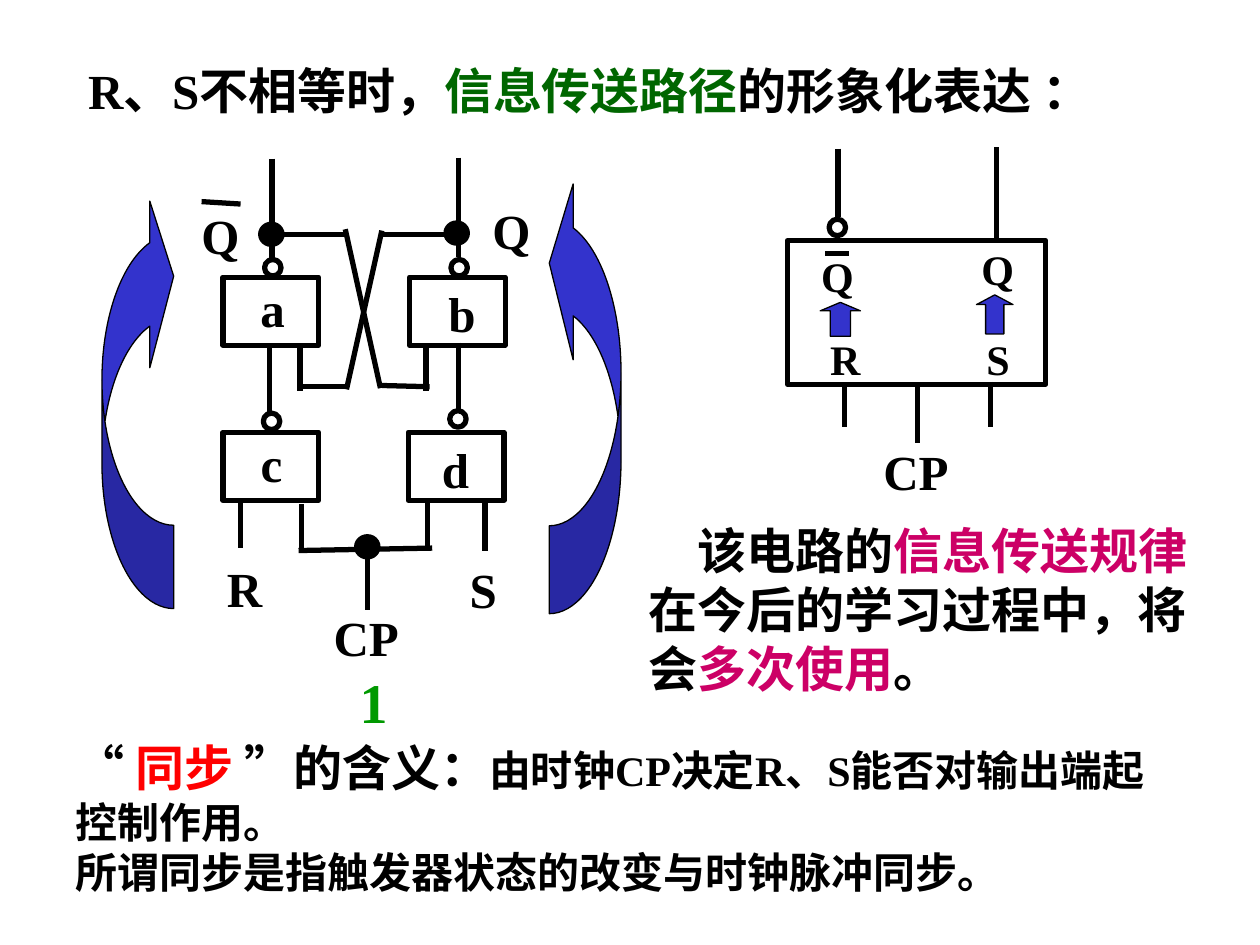
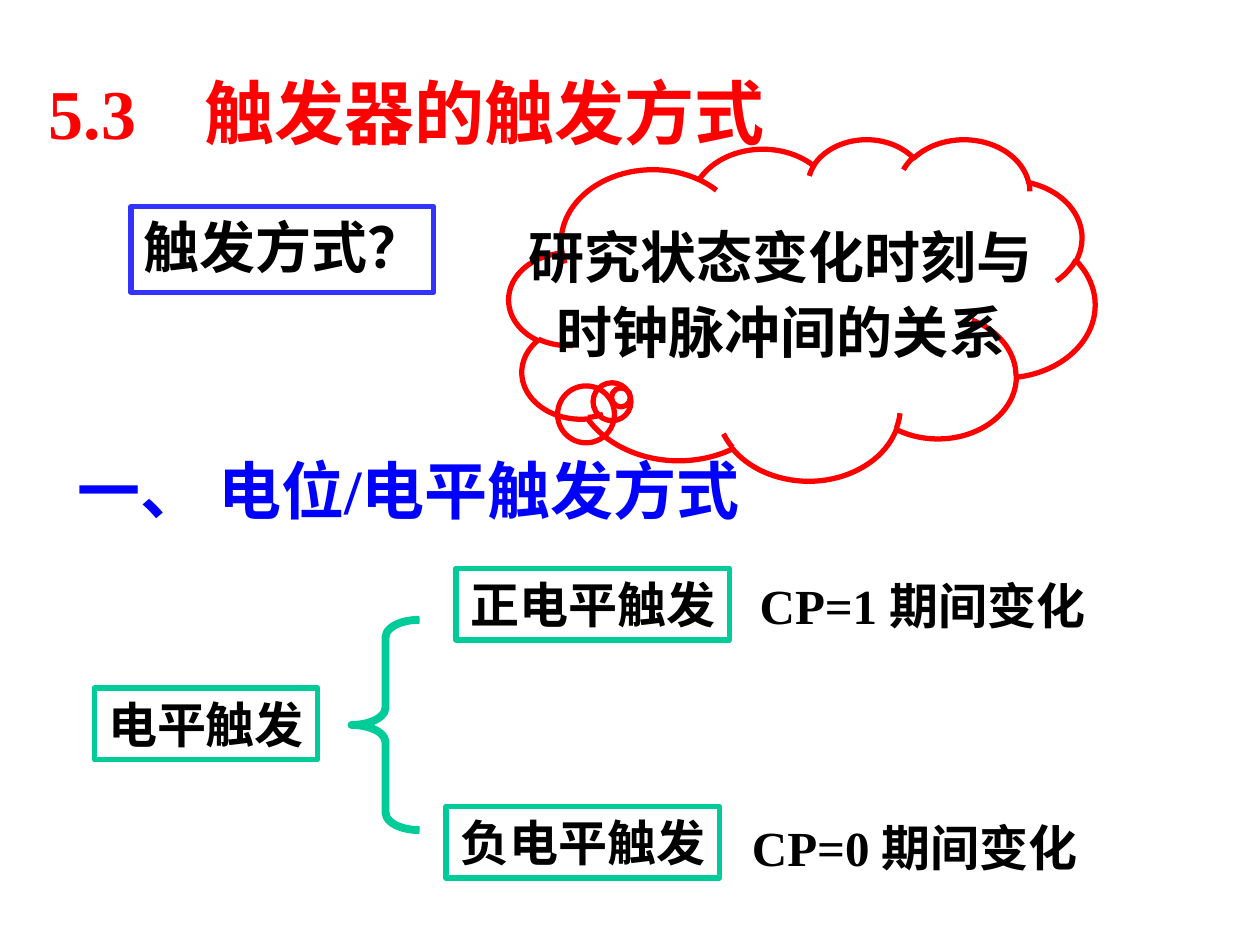
from lxml import etree
from pptx import Presentation
from pptx.dml.color import RGBColor
from pptx.enum.shapes import MSO_CONNECTOR, MSO_SHAPE
from pptx.enum.text import MSO_ANCHOR, PP_ALIGN
from pptx.oxml.ns import qn
from pptx.util import Pt

LEFT, CENTER = PP_ALIGN.LEFT, PP_ALIGN.CENTER
TOP, MIDDLE = MSO_ANCHOR.TOP, MSO_ANCHOR.MIDDLE
STRAIGHT = MSO_CONNECTOR.STRAIGHT
RECTANGLE, OVAL = MSO_SHAPE.RECTANGLE, MSO_SHAPE.OVAL
CURVED_ARROW, UP_ARROW = MSO_SHAPE.CURVED_LEFT_ARROW, MSO_SHAPE.UP_ARROW
CLOUD, BRACE = MSO_SHAPE.CLOUD_CALLOUT, MSO_SHAPE.LEFT_BRACE

FONT = "Times New Roman"
COLORS = {
    "ink": "000000",
    "arrow": "3333CC",
    "path": "006600",
    "clock": "009900",
    "stress": "CC0066",
    "red": "FF0000",
    "heading": "0000FF",
    "question": "3333FF",
    "level": "00CC99",
}
WIRE = 3
GATE_SIZE = (54.7, 38.9)
BUBBLE_SIZE = (9.4, 9.4)
DOT_SIZE = (12.2, 11.5)
LINE_HEIGHTS = {24: 36, 28: 41, 32: 45.4, 36: 51, 40: 55.4}


def color(name):
    return RGBColor.from_string(COLORS[name])


def points(values):
    return [Pt(value) for value in values]


def write_text(shape, paragraphs, size, ink="ink", align=LEFT, anchor=TOP, wrap=True):
    """Fill a shape; a paragraph is a string or a list of (text, color, size) runs."""
    frame = shape.text_frame
    frame.word_wrap = wrap
    frame.vertical_anchor = anchor
    for index, content in enumerate(paragraphs):
        paragraph = frame.paragraphs[0] if index == 0 else frame.add_paragraph()
        paragraph.alignment = align
        paragraph.font.name = FONT
        paragraph.font.bold = True
        paragraph.font.size = Pt(size)
        paragraph.font.color.rgb = color(ink)
        if isinstance(content, str):
            content = [(content, ink, size)]
        for text, run_color, run_size in content:
            run = paragraph.add_run()
            run.text = text
            if run_color != ink:
                run.font.color.rgb = color(run_color)
            if run_size != size:
                run.font.size = Pt(run_size)
    return frame


def add_text(slide, paragraphs, box, size, **style):
    shape = slide.shapes.add_textbox(*points(box))
    return write_text(shape, paragraphs, size, **style)


def add_label(slide, text, left, top, width, size=28, **style):
    box = (left, top, width, LINE_HEIGHTS[size])
    return add_text(slide, [text], box, size, **style)


def add_outline(slide, kind, box, line="ink", width=WIRE, fill=None, adjustments=()):
    shape = slide.shapes.add_shape(kind, *points(box))
    shape.shadow.inherit = False
    shape.line.color.rgb = color(line)
    shape.line.width = Pt(width)
    if fill:
        shape.fill.solid()
        shape.fill.fore_color.rgb = color(fill)
    else:
        shape.fill.background()
    for index, value in enumerate(adjustments):
        shape.adjustments[index] = value
    return shape


def add_path_arrow(slide, kind, box, adjustments, flips=()):
    shape = add_outline(slide, kind, box, width=0.75, fill="arrow", adjustments=adjustments)
    for flip in flips:
        shape._element.spPr.xfrm.set(flip, "1")


def add_wires(slide, wires):
    for wire in wires:
        connector = slide.shapes.add_connector(STRAIGHT, *points(wire))
        connector.line.color.rgb = color("ink")
        connector.line.width = Pt(WIRE)
        etree.SubElement(connector._element.spPr, qn("a:effectLst"))


def add_framed_text(slide, text, box, line="level", size=28, **style):
    shape = add_outline(slide, RECTANGLE, box, line)
    write_text(shape, [text], size, **style)


def add_nodes(slide, centers, size, fill=None):
    """Draw equal ellipses: open bubbles for inversion, filled dots for joints."""
    width, height = size
    for x, y in centers:
        box = (x - width / 2, y - height / 2, width, height)
        add_outline(slide, OVAL, box, fill=fill)


def draw_gate_circuit(slide):
    add_path_arrow(slide, CURVED_ARROW, (313.9, 100.1, 41, 250.6),
                   (1.226, 2.453, 0.333), ("flipV",))
    add_path_arrow(slide, CURVED_ARROW, (58.3, 110.2, 41, 237.6),
                   (1.162, 2.324, 0.333), ("flipH", "flipV"))

    for left, top in ((127.4, 158.4), (234, 158.4), (127.4, 247), (233.3, 247)):
        add_outline(slide, RECTANGLE, (left, top, *GATE_SIZE))
    add_nodes(slide, ((155.9, 153), (262.4, 153), (155.2, 240.8), (261.7, 239.4)), BUBBLE_SIZE)

    add_wires(slide, (
        # outputs
        (155.5, 90.7, 155.5, 148.3),
        (262.1, 90, 262.1, 146.9),
        # cross coupling
        (154.8, 133.9, 198, 133.9),
        (197.3, 131, 217.4, 221.8),
        (218.2, 220.3, 245.5, 221),
        (243.4, 198.7, 243.4, 223.2),
        (218.2, 133.9, 262.8, 133.9),
        (218.2, 131.8, 198, 222.5),
        (170.6, 221, 198, 221),
        (171.4, 197.3, 171.4, 223.2),
        # between the gate rows
        (154.1, 197.3, 154.1, 236.9),
        (262.1, 195.8, 262.1, 234),
        # inputs and clock
        (137.5, 285.8, 137.5, 313.2),
        (277.2, 286.6, 277.2, 314.6),
        (172.1, 288, 172.1, 314.6),
        (244.1, 286.6, 244.1, 314.6),
        (170.6, 314.6, 247, 313.2),
        (210.2, 308.9, 210.2, 348.5),
        # bar over Q
        (115.2, 115.2, 137.5, 116.6),
    ))
    add_nodes(slide, ((155.1, 133.9), (261, 133.2), (209.9, 312.5)), DOT_SIZE, "ink")

    for text, left, top, width in (
        ("a", 141.8, 155.5, 55.4),
        ("b", 249.1, 158.4, 31.7),
        ("c", 141.8, 244.1, 29.5),
        ("d", 245.5, 247.7, 31),
        ("Q", 108, 113.8, 43.2),
        ("Q", 274.3, 110.9, 43.2),
        ("CP", 183.6, 343.4, 53.3),
    ):
        add_label(slide, text, left, top, width)
    centered = {"align": CENTER, "anchor": MIDDLE}
    add_label(slide, "R", 122.4, 315.4, 34.6, wrap=False, **centered)
    add_label(slide, "S", 255.6, 316.1, 41, **centered)
    add_label(slide, "1", 177.1, 378, 72.7, 32, ink="clock", **centered)


def draw_flip_flop_symbol(slide):
    add_path_arrow(slide, UP_ARROW, (558, 168.5, 20.9, 22.3), (0.5, 0.267))
    add_path_arrow(slide, UP_ARROW, (468.7, 172.8, 23, 19.4), (0.5, 0.25))
    add_outline(slide, RECTANGLE, (450, 137.5, 147.6, 82.1))
    add_nodes(slide, ((478.5, 130),), BUBBLE_SIZE)
    add_wires(slide, (
        (471.6, 144.7, 485.3, 144.7),
        (478.8, 85, 478.8, 123.8),
        (569.5, 84.2, 569.5, 139),
        (482.4, 219.6, 482.4, 244.1),
        (524.2, 220.3, 524.2, 253.4),
        (565.9, 218.2, 565.9, 244.1),
    ))
    for text, left, top in (
        ("Q", 462.2, 139.7), ("Q", 553.7, 135.4), ("R", 467.3, 187.2), ("S", 556.6, 187.2),
    ):
        add_label(slide, text, left, top, 36.7, 24)
    add_label(slide, "CP", 497.5, 248.4, 51.8, align=CENTER, anchor=MIDDLE, wrap=False)


def build_information_path_slide(slide):
    add_text(slide, [[
        ("R、S不相等时，", "ink", 28),
        ("信息传送路径", "path", 28),
        ("的形象化表达 ：", "ink", 28),
    ]], (43.2, 31, 632.9, 41), 28, anchor=MIDDLE)
    draw_gate_circuit(slide)
    draw_flip_flop_symbol(slide)

    rule = add_text(slide, [[
        ("该电路的", "ink", 28),
        ("信息传送规律", "stress", 28),
        ("在今后的学习过程中，将会", "ink", 28),
        ("多次使用", "stress", 28),
        ("。", "ink", 28),
    ]], (363.6, 293.8, 327.6, 108), 28, anchor=MIDDLE)
    rule.paragraphs[0]._p.get_or_add_pPr().set("indent", str(Pt(28)))

    add_text(slide, [
        [
            ("“ ", "ink", 28),
            ("同步", "red", 28),
            (" ”的含义：", "ink", 28),
            ("由时钟CP决定R、S能否对输出端起控制作用。", "ink", 24),
        ],
        "所谓同步是指触发器状态的改变与时钟脉冲同步。",
    ], (36, 417.6, 635.8, 98.6), 24, anchor=MIDDLE)


def add_section_title(slide, number, title):
    frame = add_label(slide, f"{number}\t{title}", 20.9, 36, 565.2, 40, ink="red")
    properties = frame.paragraphs[0]._p.get_or_add_pPr()
    tabs = etree.Element(qn("a:tabLst"))
    etree.SubElement(tabs, qn("a:tab"), pos=str(Pt(89)), algn="l")
    properties.insert(0, tabs)


def build_trigger_mode_slide(slide):
    add_section_title(slide, "5.3", "触发器的触发方式")
    add_framed_text(slide, "触发方式？", (74.9, 118.1, 172.8, 49), "question", 32)

    cloud = add_outline(slide, CLOUD, (290.9, 79.2, 334.8, 195.1), "red",
                        adjustments=(-0.309, 0.258))
    thought = write_text(cloud, ["研究状态变化时刻与", "时钟脉冲间的关系"], 32,
                         align=CENTER, anchor=MIDDLE, wrap=False)
    for paragraph in thought.paragraphs:
        paragraph.line_spacing = 0.7
    thought.paragraphs[1].space_before = Pt(16)

    add_label(slide, "一、 电位/电平触发方式", 37.4, 254.2, 441.4, 36, ink="heading")

    add_framed_text(slide, "电平触发", (54, 393.1, 127.4, 41), align=CENTER)
    add_outline(slide, BRACE, (200.9, 354.2, 38.9, 120.2), "level", 4.5,
                adjustments=(0.256, 0.5))
    for text, left, top, note, note_left, note_top in (
        ("正电平触发", 260.6, 324.7, "CP=1 期间变化", 427, 325.4),
        ("负电平触发", 254.9, 460.8, "CP=0 期间变化", 422.6, 463.7),
    ):
        add_framed_text(slide, text, (left, top, 156.2, 41), align=CENTER, wrap=False)
        add_label(slide, note, note_left, note_top, 231.8)


def main():
    presentation = Presentation()
    presentation.slide_width, presentation.slide_height = Pt(720), Pt(540)
    blank = presentation.slide_layouts[6]
    for build in (build_information_path_slide, build_trigger_mode_slide):
        build(presentation.slides.add_slide(blank))
    presentation.save("out.pptx")


if __name__ == "__main__":
    main()
